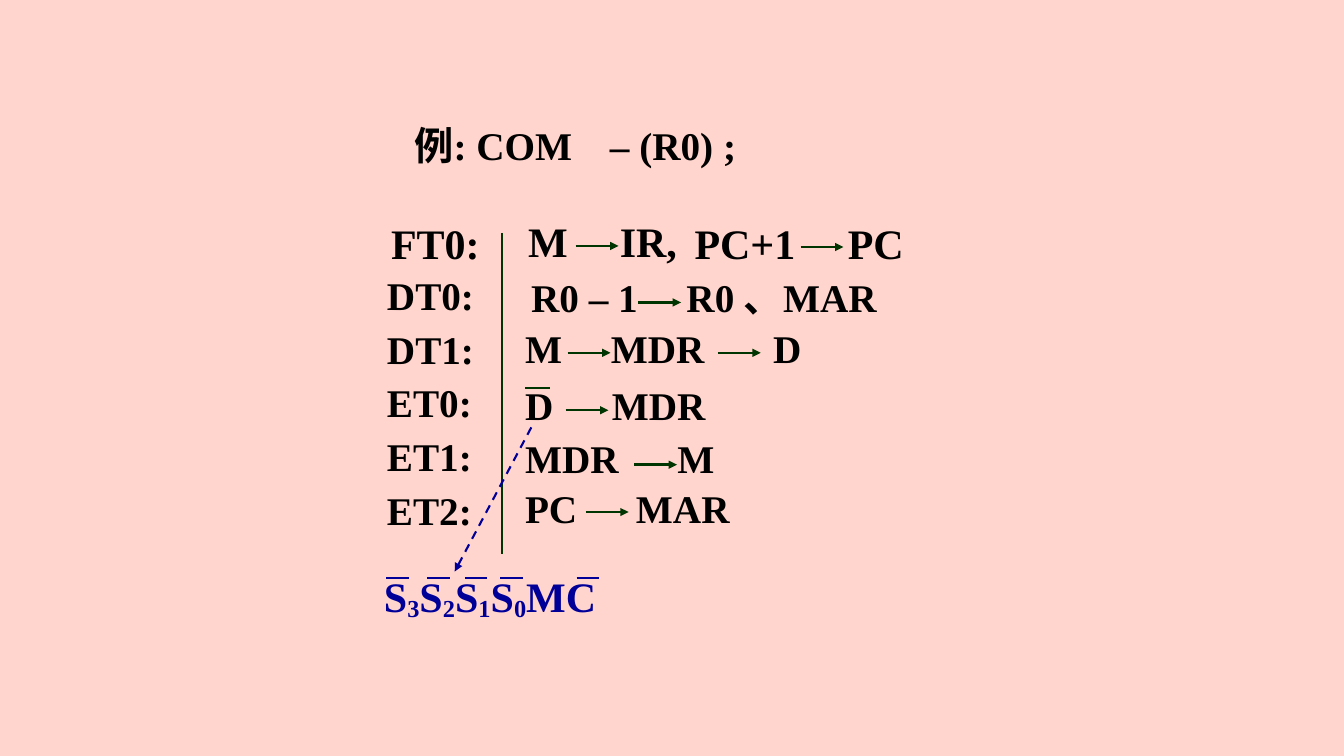
from pptx import Presentation
from pptx.dml.color import RGBColor
from pptx.enum.dml import MSO_LINE
from pptx.enum.shapes import MSO_CONNECTOR as Connector
from pptx.enum.text import MSO_ANCHOR as Anchor, MSO_AUTO_SIZE as AutoSize, PP_ALIGN as Align
from pptx.oxml.ns import qn
from pptx.util import Inches, Pt
from lxml.etree import SubElement

PINK = RGBColor(0xFF, 0xD5, 0xCD)
BLACK = RGBColor(0, 0, 0)
GREEN = RGBColor(0x00, 0x34, 0x00)
BLUE = RGBColor(0x00, 0x00, 0x99)
CELL = Inches(0.1)
ARROW_COLUMNS = 4.25
BAR_COLUMNS = 2.25

deck = Presentation()
deck.slide_width, deck.slide_height = Inches(13.33), Inches(7.5)
page = deck.slides.add_slide(deck.slide_layouts[5])
page.background.fill.solid()
page.background.fill.fore_color.rgb = PINK


def write(box, place, pieces, size=28, color=BLACK, spacing=1.0, tabs=()):
    for name, cells in zip(("left", "top", "width", "height"), place):
        setattr(box, name, round(cells * CELL))
    frame = box.text_frame
    for name, value in {"word_wrap": True, "auto_size": AutoSize.NONE,
                        "vertical_anchor": Anchor.TOP}.items():
        setattr(frame, name, value)
    para = frame.paragraphs[0]
    para.alignment, para.line_spacing = Align.LEFT, spacing
    if tabs:
        stops = SubElement(para._p.get_or_add_pPr(), qn("a:tabLst"))
        for tab in tabs:
            SubElement(stops, qn("a:tab"), pos=str(round(tab * CELL)), algn="l")
    for piece in pieces:
        span = para.add_run()
        span.text = piece
        for name, value in {"name": "Times New Roman", "size": Pt(size), "bold": True}.items():
            setattr(span.font, name, value)
        span.font.color.rgb = color
        if piece.isdigit():
            span.font._element.set("baseline", "-12000")


def draw(start, end, color=GREEN, weight=1.5, arrow=False, dash=None):
    ends = [round(cells * CELL) for cells in (*start, *end)]
    line = page.shapes.add_connector(Connector.STRAIGHT, *ends)
    line.line.color.rgb = color
    line.line.width = Pt(weight)
    if dash:
        line.line.dash_style = dash
    properties = line._element.spPr
    if arrow:
        SubElement(properties.find(qn("a:ln")), qn("a:tailEnd"), type="triangle")
    SubElement(properties, qn("a:effectLst"))


write(page.shapes.title, (40.1, 11.5, 40.3, 5.7), ["例: COM\t– (R0) ;"], tabs=[19.4])

write(page.shapes.add_textbox(0, 0, 0, 0), (37.8, 21.1, 12.5, 6.1), ["FT0:"], 30)
for index, label in enumerate(["DT0:", "DT1:", "ET0:", "ET1:", "ET2:"]):
    write(page.shapes.add_textbox(0, 0, 0, 0), (37.4, 26.4 + 5.34 * index, 16.7, 5.7), [label])

steps = [
    ("M\tIR,", 51.4, 21.9, 20, 30, [9.1], [57.1], 24.4),
    ("PC+1\tPC", 67.9, 22.1, 25.5, 30, [15.2], [79.4], 24.5),
    ("R0 – 1\tR0", 51.7, 27.5, 28.8, 28, [15.4], [63.3], 30),
    ("、MAR", 72.8, 27.5, 19.5, 28, [], [], 30),
    ("M\tMDR\tD", 51.1, 32.6, 31.2, 28, [8.5, 24.6], [56.3, 71.2], 35),
    ("D\tMDR", 51.1, 38.2, 21.2, 28, [8.6], [56.1], 40.7),
    ("MDR\tM", 51.1, 43.5, 25.3, 28, [15.1], [62.9], 46.1),
    ("PC\tMAR", 51.1, 48.5, 24, 28, [11], [58.1], 50.8),
]
for text, left, top, width, size, tabs, arrows, level in steps:
    write(page.shapes.add_textbox(0, 0, 0, 0), (left, top, width, size * 0.17),
          [text], size, spacing=0.8, tabs=tabs)
    for column in arrows:
        draw((column, level), (column + ARROW_COLUMNS, level), weight=1.75, arrow=True)

draw((52.1, 38.5), (54.6, 38.5))
draw((49.8, 23.1), (49.8, 55))
draw((52.7, 42.4), (45.1, 56.7), BLUE, arrow=True, dash=MSO_LINE.DASH)

write(page.shapes.add_textbox(0, 0, 0, 0), (37.1, 56.1, 28.7, 6.1),
      ["S", "3", "S", "2", "S", "1", "S", "0", "MC"], 30, BLUE)
for column in (38.3, 42.4, 46.1, 49.6, 57.2):
    draw((column, 57.3), (column + BAR_COLUMNS, 57.3), BLUE)

deck.save("out.pptx")
